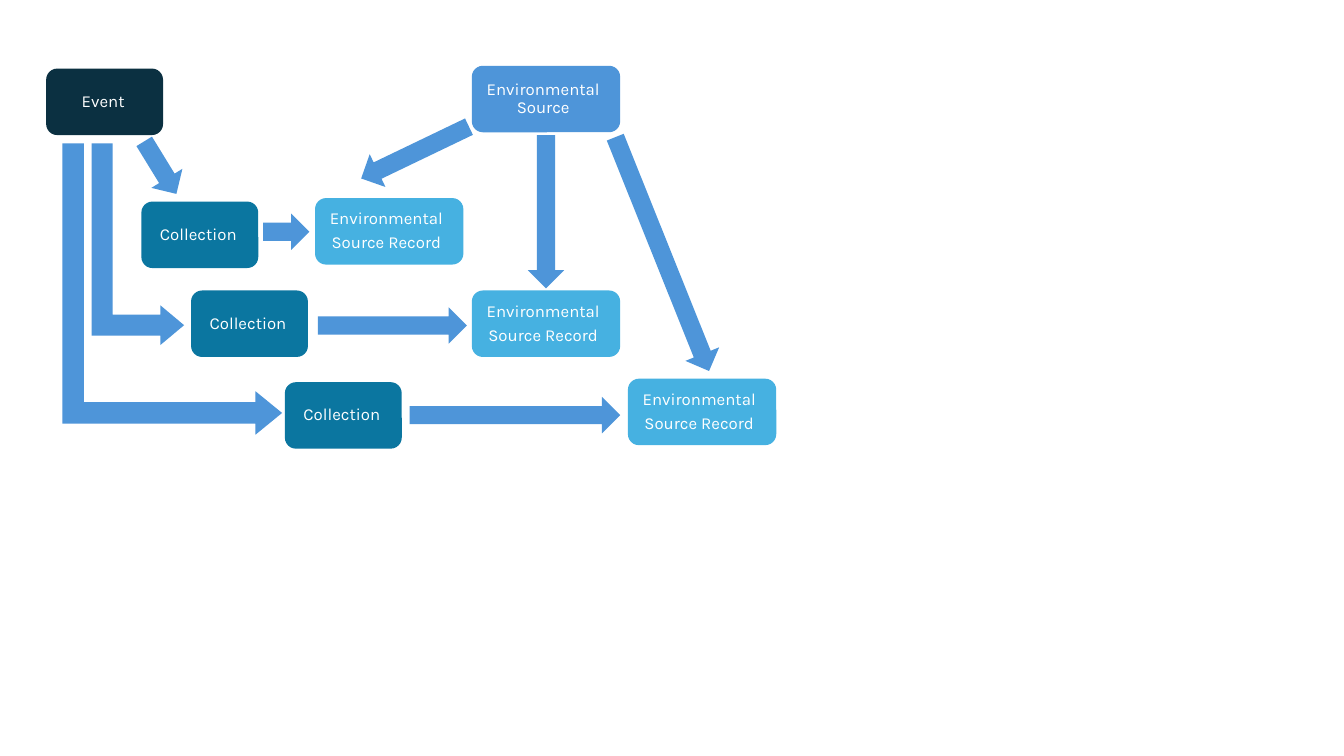
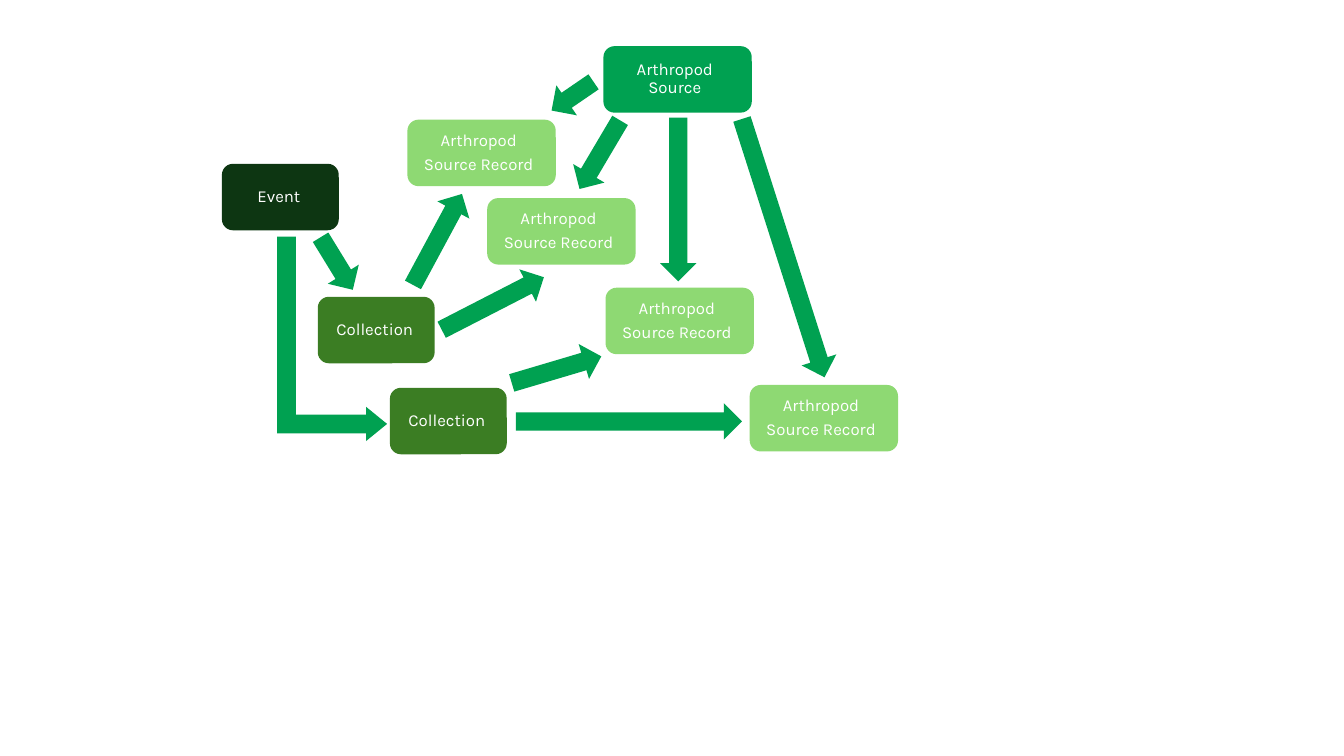
from collections import namedtuple
from math import atan2, degrees, hypot

from pptx import Presentation
from pptx.dml.color import RGBColor
from pptx.enum.shapes import MSO_SHAPE
from pptx.enum.text import MSO_ANCHOR, PP_ALIGN
from pptx.util import Pt

WHITE = RGBColor(0xFF, 0xFF, 0xFF)
Palette = namedtuple("Palette", "event collection source record")
BLUES = Palette(
    event=RGBColor(0x0B, 0x30, 0x41),
    collection=RGBColor(0x0B, 0x76, 0xA0),
    source=RGBColor(0x4E, 0x95, 0xD9),
    record=RGBColor(0x46, 0xB1, 0xE1),
)
GREENS = Palette(
    event=RGBColor(0x0D, 0x36, 0x12),
    collection=RGBColor(0x3B, 0x7D, 0x23),
    source=RGBColor(0x00, 0xA1, 0x51),
    record=RGBColor(0x8E, 0xD9, 0x73),
)

FONT = "Karla"
NARROW, WIDE, NODE_HEIGHT = 83.5, 106, 47.5
ARROW_WIDTH = 26


def add_filled(slide, kind, box, color):
    shape = slide.shapes.add_shape(kind, *(Pt(length) for length in box))
    shape.shadow.inherit = False
    shape.fill.solid()
    shape.fill.fore_color.rgb = color
    shape.line.fill.background()
    return shape


def write(frame, text, size=12, color=WHITE, align=PP_ALIGN.CENTER, insets=(6, 6, 6, 6)):
    frame.word_wrap = True
    frame.vertical_anchor = MSO_ANCHOR.MIDDLE
    frame.margin_left, frame.margin_top, frame.margin_right, frame.margin_bottom = map(Pt, insets)
    for index, line in enumerate(text.split("\n")):
        paragraph = frame.add_paragraph() if index else frame.paragraphs[0]
        paragraph.alignment = align
        paragraph.line_spacing = 0.9
        paragraph.space_after = Pt(4.2)
        run = paragraph.add_run()
        run.text = line
        run.font.name = FONT
        run.font.size = Pt(size)
        run.font.color.rgb = color


def add_node(slide, x, y, width, text, color):
    node = add_filled(slide, MSO_SHAPE.ROUNDED_RECTANGLE, (x, y, width, NODE_HEIGHT), color)
    left, right = (7, 11) if width == WIDE else (6.5, 8.5)
    write(node.text_frame, text, insets=(left, 6, right, 6))


def add_straight_arrow(slide, tail, tip, color):
    dx, dy = tip[0] - tail[0], tip[1] - tail[1]
    length = hypot(dx, dy)
    center_x, center_y = (tail[0] + tip[0]) / 2, (tail[1] + tip[1]) / 2
    box = (center_x - ARROW_WIDTH / 2, center_y - length / 2, ARROW_WIDTH, length)
    arrow = add_filled(slide, MSO_SHAPE.DOWN_ARROW, box, color)
    arrow.rotation = degrees(atan2(-dx, dy))


def add_bent_arrow(slide, x, y, width, height, thicknesses, color):
    turned = (x + (width - height) / 2, y + (height - width) / 2, height, width)
    arrow = add_filled(slide, MSO_SHAPE.BENT_UP_ARROW, turned, color)
    arrow.rotation = 90
    for index, thickness in enumerate(thicknesses):
        arrow.adjustments[index] = thickness / min(width, height)


def add_diagram(slide, left, top, subject, palette, event, source,
                collections, records, arrows, bends):
    def place(point):
        return left + point[0], top + point[1]

    for tail, tip in arrows:
        add_straight_arrow(slide, place(tail), place(tip), palette.source)
    for corner, size, thicknesses in bends:
        add_bent_arrow(slide, *place(corner), *size, thicknesses, palette.source)
    add_node(slide, *place(event), NARROW, "Event", palette.event)
    add_node(slide, *place(source), WIDE, f"{subject} Source", palette.source)
    for corner in collections:
        add_node(slide, *place(corner), NARROW, "Collection", palette.collection)
    for corner in records:
        add_node(slide, *place(corner), WIDE, f"{subject}\nSource Record", palette.record)


def add_environmental_slide(slide):
    add_diagram(
        slide, 33, 47, "Environmental", BLUES,
        event=(0, 2),
        source=(304, 0),
        collections=[(68, 97), (103.5, 160.5), (170.5, 226)],
        records=[(192, 94.5), (304, 160.5), (415.5, 223.5)],
        arrows=[
            ((70, 54), (93, 91.5)),
            ((302, 43.5), (225, 80.5)),
            ((357, 49.5), (357, 159)),
            ((406.5, 51), (473.5, 218)),
            ((155, 118.5), (188, 118.5)),
            ((194, 185.5), (300.5, 185.5)),
            ((259.5, 249.5), (410, 249.5)),
        ],
        bends=[
            ((11.5, 55.5), (157, 208), (15.4, 15.5, 19)),
            ((32.5, 55.5), (66, 144), (15, 14.2, 17)),
        ],
    )


def add_arthropod_slide(slide):
    add_diagram(
        slide, 158, 33, "Arthropod", GREENS,
        event=(0.5, 84),
        source=(273, 0),
        collections=[(69, 179), (120.5, 244)],
        records=[(133, 52.5), (190, 108.5), (274.5, 172.5), (377.5, 242)],
        arrows=[
            ((71, 136.5), (94, 174)),
            ((137, 170.5), (172, 105.5)),
            ((157.5, 202.5), (230.5, 165)),
            ((207.5, 240.5), (271.5, 221.5)),
            ((210.5, 268), (372, 268)),
            ((266, 25.5), (236, 46)),
            ((285, 53), (256, 102)),
            ((326.5, 51), (326.5, 168)),
            ((372, 52), (431, 236.5)),
        ],
        bends=[((40, 136), (78.5, 146), (13.4, 12.2, 15))],
    )


def main():
    deck = Presentation()
    deck.slide_width, deck.slide_height = Pt(960), Pt(540)
    blank = deck.slide_layouts[6]
    for add_content in (add_environmental_slide, add_arthropod_slide):
        add_content(deck.slides.add_slide(blank))
    deck.save("out.pptx")


if __name__ == "__main__":
    main()
